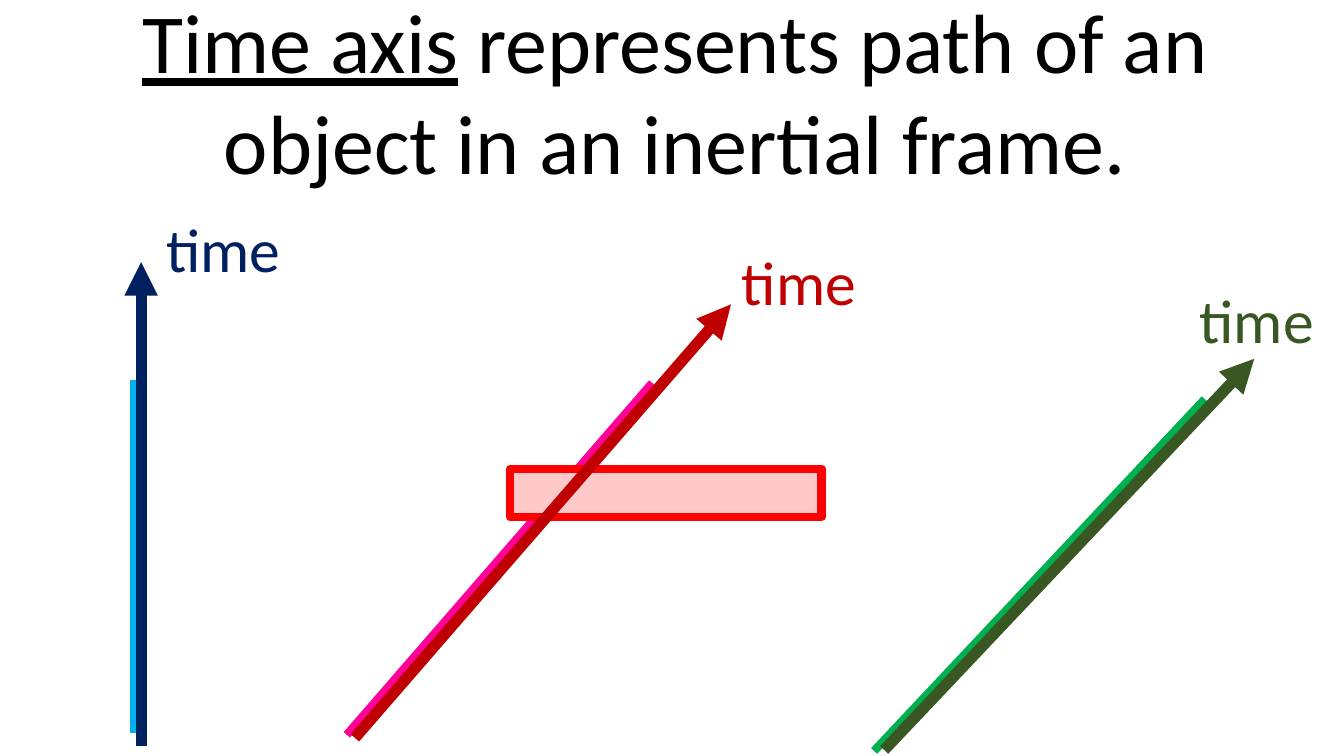
from lxml import etree
from pptx import Presentation
from pptx.dml.color import RGBColor
from pptx.enum import shapes, text
from pptx.oxml import ns
from pptx.util import Inches, Pt

FONT = "Calibri"
BLACK = RGBColor(0x00, 0x00, 0x00)
RED = RGBColor(0xFF, 0x00, 0x00)
PALE_RED = RGBColor(0xFF, 0xC9, 0xC9)
PINK = RGBColor(0xFF, 0x00, 0x99)
DARK_RED = RGBColor(0xC0, 0x00, 0x00)
GREEN = RGBColor(0x00, 0xB0, 0x50)
DARK_GREEN = RGBColor(0x38, 0x57, 0x23)
SKY = RGBColor(0x00, 0xB0, 0xF0)
NAVY = RGBColor(0x00, 0x20, 0x60)

TITLE_BOX = (1.1, -0.15, 11.19, 2.12)
TITLE_RUNS = [("Time axis", True),
              (" represents path of an object in an inertial frame.", False)]
OBJECT_BOX = (5.06, 4.65, 3.09, 0.48)

# (start x, start y, end x, end y), colour
PATHS = [
    ((3.44, 7.29, 6.47, 3.8), PINK),
    ((8.67, 7.45, 11.95, 3.96), GREEN),
    ((1.33, 7.27, 1.33, 3.77), SKY),
]
# axis ends, label's left and top, colour
AXES = [
    ((1.4, 7.4, 1.4, 2.6), (1.55, 2.04), NAVY),
    ((3.52, 7.32, 7.25, 3.02), (7.26, 2.37), DARK_RED),
    ((8.77, 7.44, 12.44, 3.56), (11.8, 2.75), DARK_GREEN),
]
AXIS_LABEL = "time"
LABEL_SIZE = (1.35, 0.84)


def inches(values):
    return [Inches(value) for value in values]


def style_run(run, size, color):
    run.font.name = FONT
    run.font.size = Pt(size)
    run.font.color.rgb = color


def add_line(slide, ends, color, width, arrow=False):
    line = slide.shapes.add_connector(shapes.MSO_CONNECTOR.STRAIGHT, *inches(ends))
    line.line.color.rgb = color
    line.line.width = Pt(width)
    if arrow:
        etree.SubElement(line.line._get_or_add_ln(), ns.qn("a:tailEnd"), type="triangle")
    etree.SubElement(line._element.spPr, ns.qn("a:effectLst"))


def add_title(slide):
    title = slide.shapes.title
    title.left, title.top, title.width, title.height = inches(TITLE_BOX)
    frame = title.text_frame
    frame.word_wrap = True
    frame.auto_size = text.MSO_AUTO_SIZE.SHAPE_TO_FIT_TEXT
    frame.vertical_anchor = text.MSO_ANCHOR.TOP
    sentence = frame.paragraphs[0]
    sentence.alignment = text.PP_ALIGN.CENTER
    for words, underlined in TITLE_RUNS:
        run = sentence.add_run()
        run.text = words
        style_run(run, 60, BLACK)
        run.font.underline = underlined


def add_object(slide):
    bar = slide.shapes.add_shape(shapes.MSO_SHAPE.RECTANGLE, *inches(OBJECT_BOX))
    bar.shadow.inherit = False
    bar.fill.solid()
    bar.fill.fore_color.rgb = PALE_RED
    bar.line.color.rgb = RED
    bar.line.width = Pt(6)


def add_axis(slide, ends, label_corner, color):
    add_line(slide, ends, color, 8, arrow=True)
    label = slide.shapes.add_textbox(*inches(label_corner + LABEL_SIZE))
    frame = label.text_frame
    frame.word_wrap = False
    frame.auto_size = text.MSO_AUTO_SIZE.SHAPE_TO_FIT_TEXT
    frame.text = AXIS_LABEL
    style_run(frame.paragraphs[0].runs[0], 44, color)


def main():
    deck = Presentation()
    deck.slide_width, deck.slide_height = inches((13.33, 7.5))
    slide = deck.slides.add_slide(deck.slide_layouts.get_by_name("Title Only"))
    add_title(slide)
    for ends, color in PATHS:
        add_line(slide, ends, color, 6)
    add_object(slide)
    for axis in AXES:
        add_axis(slide, *axis)
    deck.save("out.pptx")


if __name__ == "__main__":
    main()
